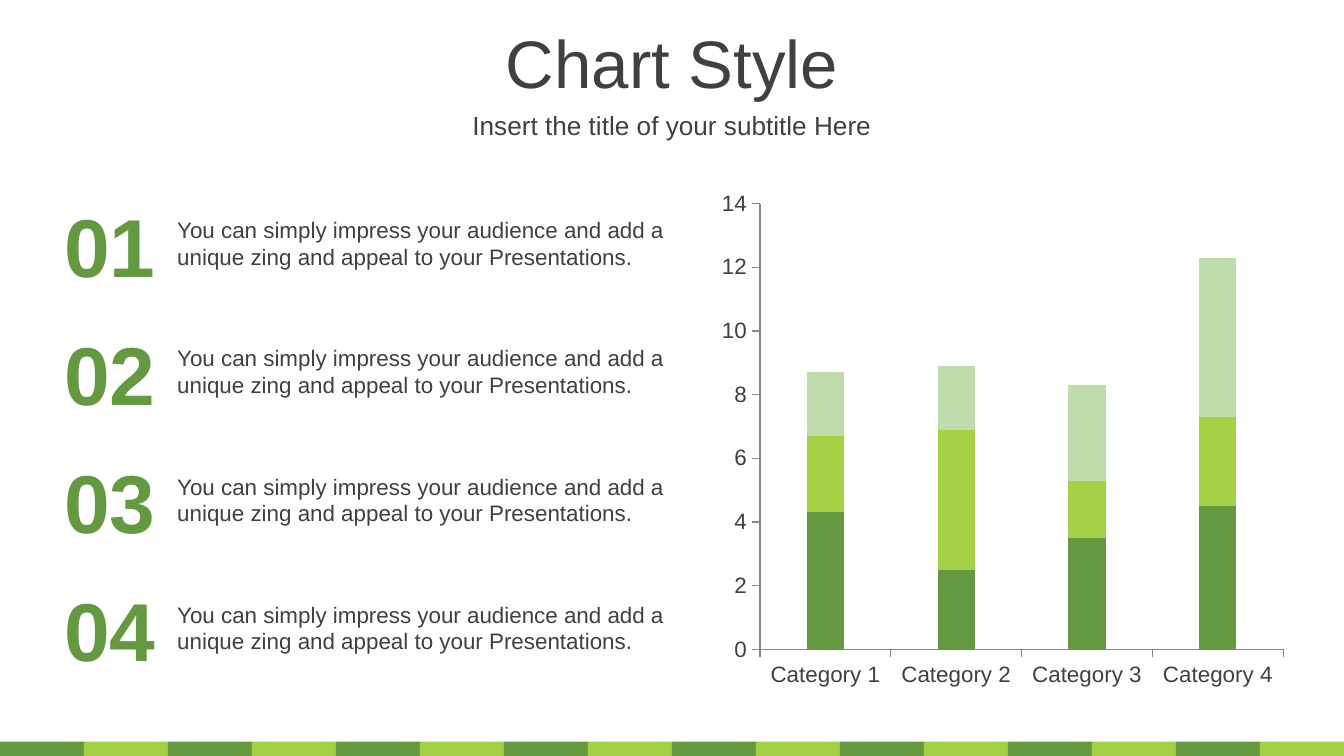
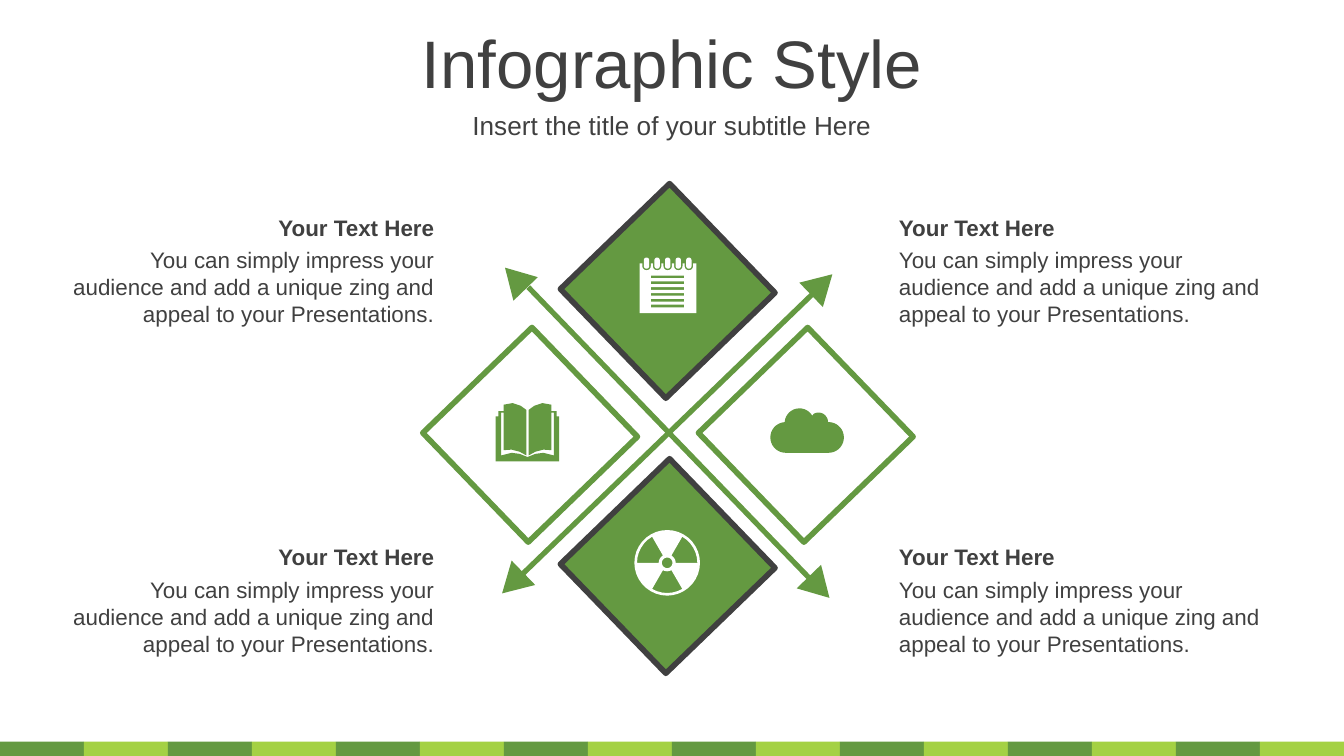
"""Build a two-slide deck: a stacked column chart and a diamond infographic."""
from math import cos, radians, sin

from lxml import etree
from pptx import Presentation
from pptx.chart.data import CategoryChartData
from pptx.dml.color import RGBColor
from pptx.enum.chart import XL_CHART_TYPE, XL_TICK_MARK
from pptx.enum.shapes import MSO_SHAPE as SHAPE
from pptx.enum.text import MSO_ANCHOR as ANCHOR, MSO_AUTO_SIZE, PP_ALIGN as ALIGN
from pptx.oxml.ns import qn
from pptx.util import Cm, Pt

GREEN = RGBColor(0x64, 0x99, 0x41)
LIME = RGBColor(0xA4, 0xD1, 0x44)
PALE = RGBColor(0xC0, 0xDC, 0xAD)
DARK = RGBColor(0x40, 0x40, 0x40)
GREY = RGBColor(0x86, 0x86, 0x86)
WHITE = RGBColor(0xFF, 0xFF, 0xFF)
FONT = "Arial"
BODY = ("You can simply impress your audience and add a unique zing "
        "and appeal to your Presentations.")


def add_text(s, text, box, size=12, color=DARK, bold=False, align=ALIGN.LEFT,
             anchor=ANCHOR.MIDDLE, sp=None):
    """Write one paragraph in a new text box, or in the given placeholder."""
    sp = sp or s.shapes.add_textbox(0, 0, 0, 0)
    sp.left, sp.top, sp.width, sp.height = [Cm(v) for v in box]
    tf = sp.text_frame
    tf.word_wrap = True
    tf.auto_size = MSO_AUTO_SIZE.NONE
    tf.vertical_anchor = anchor
    p = tf.paragraphs[0]
    p.text = text
    p.alignment = align
    p.font.name = FONT
    p.font.size = Pt(size)
    p.font.bold = bold
    p.font.color.rgb = color


def add_icon(s, contours, color):
    """Draw contours made of points (x, y) and arcs (cx, cy, r, start, end)."""
    builder = None
    for contour in contours:
        points = []
        for item in contour:
            if len(item) == 2:
                points.append((Cm(item[0]), Cm(item[1])))
                continue
            cx, cy, radius, start, end = item
            steps = max(6, int(abs(end - start) / 10))
            for i in range(steps + 1):
                a = radians(start + (end - start) * i / steps)
                points.append((Cm(cx + radius * cos(a)), Cm(cy + radius * sin(a))))
        if builder is None:
            builder = s.shapes.build_freeform(*points[0], scale=1.0)
        else:
            builder.move_to(*points[0])
        builder.add_line_segments(points[1:], close=True)
    sp = builder.convert_to_shape()
    sp.shadow.inherit = False
    sp.fill.solid()
    sp.fill.fore_color.rgb = color
    sp.line.fill.background()


prs = Presentation()
prs.slide_width, prs.slide_height = Cm(25.4), Cm(14.29)

slides = []
for title in ("Chart Style", "Infographic Style"):
    s = prs.slides.add_slide(prs.slide_layouts[5])
    add_text(s, title, (0, 0.36, 25.4, 1.6), 36, align=ALIGN.CENTER, sp=s.shapes.title)
    add_text(s, "Insert the title of your subtitle Here", (0, 1.96, 25.4, 0.79), 14,
             align=ALIGN.CENTER)
    slides.append(s)
chart_slide, info_slide = slides

band_width = 25.4 / 16
for i in range(16):
    sp = chart_slide.shapes.add_shape(SHAPE.RECTANGLE, Cm(i * band_width), Cm(14.02),
                                      Cm(band_width), Cm(0.27))
    sp.shadow.inherit = False
    sp.fill.solid()
    sp.fill.fore_color.rgb = LIME if i % 2 else GREEN
    sp.line.fill.background()
    prs.slide_master.element.cSld.spTree.append(sp.element)

data = CategoryChartData()
data.categories = [f"Category {i}" for i in range(1, 5)]
data.add_series("Series 1", (4.3, 2.5, 3.5, 4.5))
data.add_series("Series 2", (2.4, 4.4, 1.8, 2.8))
data.add_series("Series 3", (2, 2, 3, 5))
chart = chart_slide.shapes.add_chart(XL_CHART_TYPE.COLUMN_STACKED, Cm(13.31), Cm(3.35),
                                     Cm(11.2), Cm(9.63), data).chart
chart.has_legend = False
chart.has_title = False
chart.font.name = FONT
chart.font.size = Pt(18)
plot = chart.plots[0]
plot.gap_width = 250
plot.overlap = 100
plot.vary_by_categories = False
for series, color in zip(plot.series, (GREEN, LIME, PALE)):
    series.format.fill.solid()
    series.format.fill.fore_color.rgb = color
for axis in (chart.category_axis, chart.value_axis):
    axis.has_major_gridlines = False
    axis.major_tick_mark = XL_TICK_MARK.OUTSIDE
    axis.minor_tick_mark = XL_TICK_MARK.NONE
    axis.format.line.color.rgb = GREY
    font = axis.tick_labels.font
    font.name, font.size = FONT, Pt(12)
    font.color.rgb = DARK
chart.value_axis.minimum_scale = 0
chart.value_axis.maximum_scale = 14
chart.value_axis.major_unit = 2

plot_area = chart.element.find(".//" + qn("c:plotArea"))
for old in plot_area.findall(qn("c:layout")):
    plot_area.remove(old)
layout = etree.Element(qn("c:layout"))
plot_area.insert(0, layout)
manual = etree.SubElement(layout, qn("c:manualLayout"))
for tag, value in (("layoutTarget", "inner"), ("xMode", "edge"), ("yMode", "edge"),
                   ("x", "0.094"), ("y", "0.052"), ("w", "0.883"), ("h", "0.879")):
    etree.SubElement(manual, qn("c:" + tag)).set("val", value)

for i in range(4):
    y = 3.56 + 2.42 * i
    add_text(chart_slide, f"0{i + 1}", (0.53, y, 3.1, 2.13), 44, GREEN, True, ALIGN.CENTER)
    add_text(chart_slide, BODY, (3.1, y + 0.41, 9.8, 1.27), anchor=ANCHOR.TOP)

parts = [
    (SHAPE.RECTANGLE, 12.62, 5.5, 2.87, 2.87, 46, GREEN, DARK),
    (SHAPE.RECTANGLE, 15.23, 8.22, 2.87, 2.87, 46, WHITE, GREEN),
    (SHAPE.RECTANGLE, 10.02, 8.22, 2.87, 2.87, 46, WHITE, GREEN),
    (SHAPE.RECTANGLE, 12.62, 10.7, 2.87, 2.87, 46, GREEN, DARK),
    (SHAPE.RECTANGLE, 12.64, 8.18, 7.65, 0.1, 46, GREEN, None),
    (SHAPE.RECTANGLE, 12.64, 8.18, 7.65, 0.1, 136, GREEN, None),
    (SHAPE.ISOSCELES_TRIANGLE, 15.53, 5.38, 0.64, 0.56, 46, GREEN, None),
    (SHAPE.ISOSCELES_TRIANGLE, 15.48, 11.1, 0.64, 0.56, 136, GREEN, None),
    (SHAPE.ISOSCELES_TRIANGLE, 9.69, 11.02, 0.64, 0.56, 226, GREEN, None),
    (SHAPE.ISOSCELES_TRIANGLE, 9.74, 5.26, 0.64, 0.56, 316, GREEN, None),
]
for kind, cx, cy, w, h, angle, fill, line in parts:
    sp = info_slide.shapes.add_shape(kind, Cm(cx - w / 2), Cm(cy - h / 2), Cm(w), Cm(h))
    sp.rotation = angle
    sp.shadow.inherit = False
    sp.fill.solid()
    sp.fill.fore_color.rgb = fill
    if line is None:
        sp.line.fill.background()
    else:
        sp.line.color.rgb = line
        sp.line.width = Pt(3)

half_book = [
    (0, 8.64), (0.15, 8.58), (0.3, 8.56), (0.5, 8.61), (0.5, 7.8), (0.45, 7.8),
    (0.45, 8.51), (0.3, 8.5), (0.15, 8.54), (0.02, 8.61), (0.02, 7.75), (0.13, 7.67),
    (0.28, 7.62), (0.45, 7.65), (0.45, 7.77), (0.55, 7.77), (0.55, 7.87), (0.6, 7.87),
    (0.6, 8.72), (0, 8.72),
]
book = [[(9.97 + side * x, y) for x, y in half_book] for side in (-1, 1)]
add_icon(info_slide, book, GREEN)

cloud = [(14.85, 8.27, 0.29, 90, 270), (15.11, 8, 0.28, 185, 330),
         (15.47, 7.98, 0.18, 240, 360), (15.66, 8.27, 0.29, -90, 90)]
add_icon(info_slide, [cloud], GREEN)

ring_xs = [12.22 + 0.2 * i for i in range(5)]
page = [(12.09, 4.98)]
for x in ring_xs:
    page += [(x - 0.08, 4.98), (x, 5.03, 0.08, 180, 0), (x + 0.08, 4.98)]
page += [(13.16, 4.98), (13.16, 5.92), (12.09, 5.92)]
rings = [[(x, 4.92, 0.05, 180, 360), (x, 5.03, 0.05, 0, 180)] for x in ring_xs]
rules = []
for i in range(6):
    y = 5.21 + 0.11 * i
    rules.append([(12.3, y), (12.3, y + 0.05), (12.93, y + 0.05), (12.93, y)])
add_icon(info_slide, [page] + rules + rings, WHITE)

cx, cy = 12.61, 10.64
radiation = [[(cx, cy, 0.62, 0, 360)], [(cx, cy, 0.1, 360, 0)]]
for a in (60, 180, 300):
    radiation.append([(cx, cy, 0.16, a, a + 60), (cx, cy, 0.57, a + 60, a)])
add_icon(info_slide, radiation, WHITE)

for x, align in ((16.74, ALIGN.LEFT), (1.09, ALIGN.RIGHT)):
    for y in (3.92, 10.15):
        add_text(info_slide, BODY, (x, y + 0.6, 7.37, 1.8), align=align)
        add_text(info_slide, "Your Text Here", (x, y, 7.37, 0.76), bold=True, align=align)

prs.save("out.pptx")
